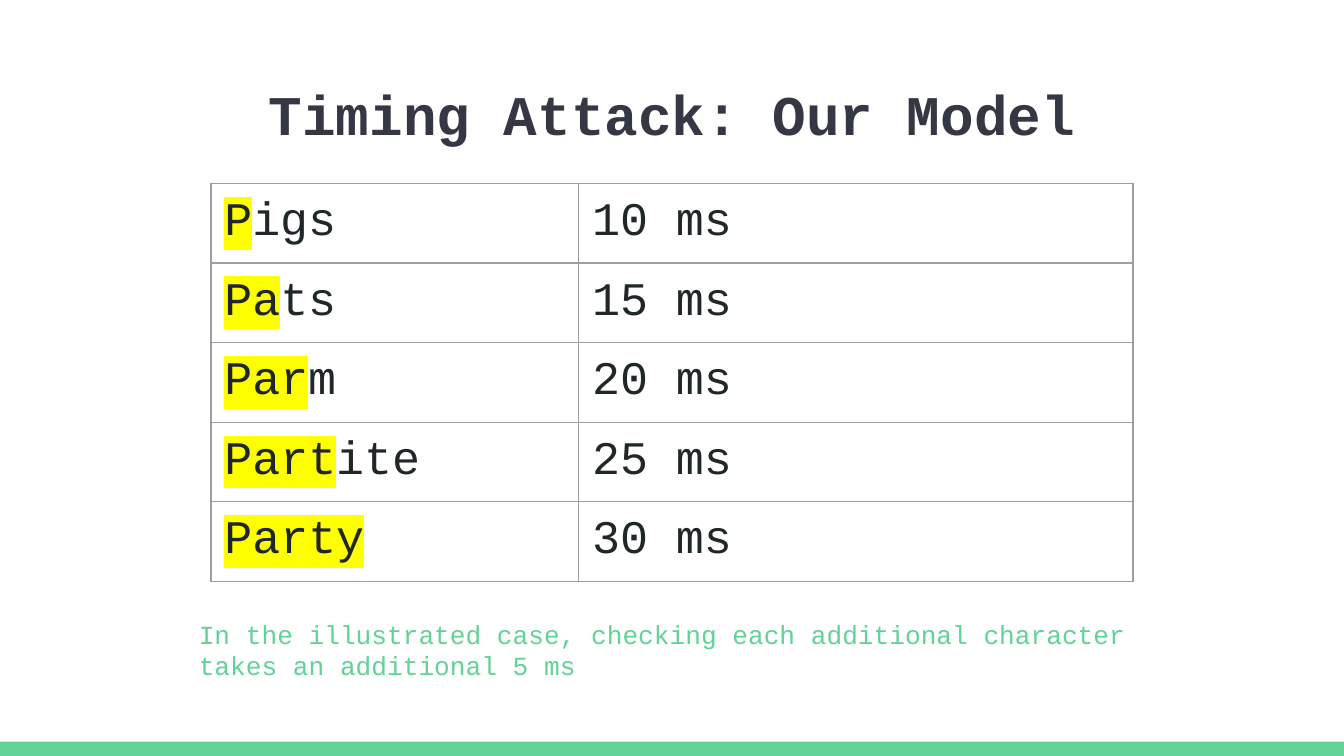
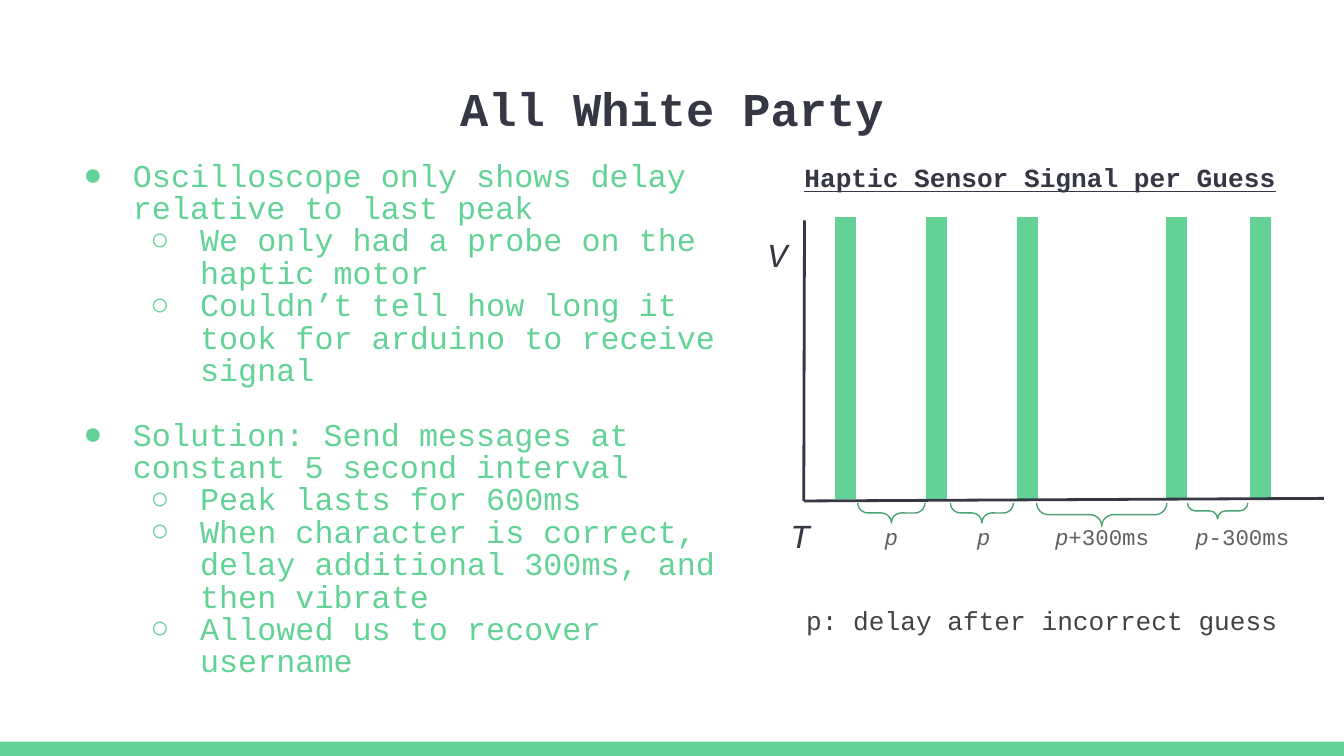
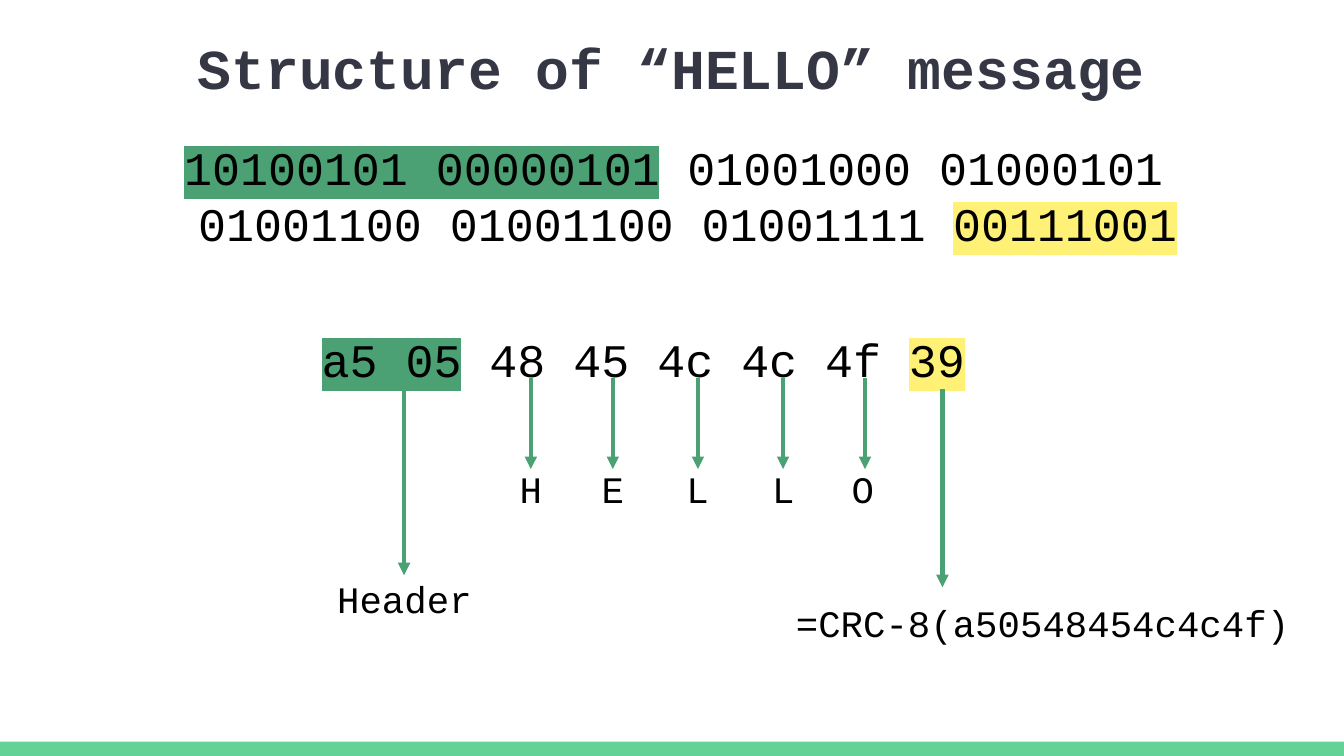
from dataclasses import dataclass
from typing import NamedTuple

from lxml import etree
from pptx import Presentation
from pptx.dml.color import RGBColor
from pptx.enum.shapes import MSO_CONNECTOR as Conn, MSO_SHAPE as Shp
from pptx.enum.text import MSO_ANCHOR as Anchor, MSO_AUTO_SIZE as Fit, PP_ALIGN as Align
from pptx.oxml.ns import qn
from pptx.util import Pt

COLORS = {
    "green": "63D297", "dark_green": "4BA173", "navy": "353744",
    "ink": "202729", "black": "000000", "grey": "616161", "dark_grey": "424242",
    "border": "9E9E9E", "yellow": "FFFF00", "pale_yellow": "FFF176",
}
FONT = "Courier New"
INSET = 7.2
WIDTH, HEIGHT = 720, 405


class Box(NamedTuple):
    left: float
    top: float
    width: float
    height: float

    def lengths(self) -> list:
        return [Pt(v) for v in self]


@dataclass
class Style:
    size: float
    color: str
    bold: bool = False
    italic: bool = False
    underline: bool = False


class Span(NamedTuple):
    text: str
    highlight: str = ""
    italic: bool = False


class Gap(NamedTuple):
    """A pause between two peaks, with its brace and label."""
    left: float
    width: float
    depth: float
    label_center: float
    suffix: str = ""


class Bullet(NamedTuple):
    text: str
    level: int = 0
    space_after: float = 0


class Arrow(NamedTuple):
    x: float
    top: float
    bottom: float


def rgb(name: str) -> RGBColor:
    return RGBColor.from_string(COLORS[name])


def add_solid(parent, color: str) -> None:
    fill = etree.SubElement(parent, qn("a:solidFill"))
    etree.SubElement(fill, qn("a:srgbClr"), val=COLORS[color])


def format_run(r, style: Style, span: Span = Span("")) -> None:
    f = r.font
    f.name, f.size = FONT, Pt(style.size)
    f.color.rgb = rgb(style.color)
    f.bold, f.underline = style.bold, style.underline
    f.italic = style.italic or span.italic
    if span.highlight:
        rpr = r._r.get_or_add_rPr()
        mark = etree.Element(qn("a:highlight"))
        etree.SubElement(mark, qn("a:srgbClr"), val=COLORS[span.highlight])
        rpr.find(qn("a:latin")).addprevious(mark)


def add_spans(p, spans: list[Span], style: Style) -> None:
    for span in spans:
        r = p.add_run()
        r.text = span.text
        format_run(r, style, span)


def prepare_frame(tf) -> None:
    tf.word_wrap = True
    tf.auto_size = Fit.NONE
    tf.vertical_anchor = Anchor.TOP
    tf.margin_left = tf.margin_right = tf.margin_top = tf.margin_bottom = Pt(INSET)


def add_text(s, box: Box, lines: list[list[Span]], style: Style, align=Align.LEFT):
    tf = s.shapes.add_textbox(*box.lengths()).text_frame
    prepare_frame(tf)
    for i, spans in enumerate(lines):
        p = tf.add_paragraph() if i else tf.paragraphs[0]
        p.alignment = align
        add_spans(p, spans, style)
    return tf


def place(sp, box: Box) -> None:
    sp.left, sp.top, sp.width, sp.height = box.lengths()


def add_slide(prs, layout: int, title: str, size: float, top: float = 35.3):
    s = prs.slides.add_slide(prs.slide_layouts[layout])
    sp = s.shapes.title
    place(sp, Box(24.5, top, 671, 45.4))
    tf = sp.text_frame
    prepare_frame(tf)
    tf.text = title
    p = tf.paragraphs[0]
    p.alignment = Align.CENTER
    format_run(p.runs[0], Style(size, "navy", bold=True))
    return s


def add_preset(s, kind, box: Box, fill: str = "", line: str = ""):
    sp = s.shapes.add_shape(kind, *box.lengths())
    sp.shadow.inherit = False
    if fill:
        sp.fill.solid()
        sp.fill.fore_color.rgb = rgb(fill)
    else:
        sp.fill.background()
    if line:
        sp.line.color.rgb = rgb(line)
        sp.line.width = Pt(0.75)
    else:
        sp.line.fill.background()
    return sp


def add_line(s, x1: float, y1: float, x2: float, y2: float,
             color: str, width: float, arrow: bool = False) -> None:
    cxn = s.shapes.add_connector(Conn.STRAIGHT, Pt(x1), Pt(y1), Pt(x2), Pt(y2))
    cxn.line.color.rgb = rgb(color)
    cxn.line.width = Pt(width)
    sppr = cxn.element.find(qn("p:spPr"))
    if arrow:
        etree.SubElement(sppr.find(qn("a:ln")), qn("a:tailEnd"), type="triangle")
    etree.SubElement(sppr, qn("a:effectLst"))


def add_bullets(tf, bullets: list[Bullet], style: Style) -> None:
    for i, bullet in enumerate(bullets):
        p = tf.add_paragraph() if i else tf.paragraphs[0]
        p.text = bullet.text
        p.level, p.line_spacing = bullet.level, 0.85
        p.space_before, p.space_after = Pt(0), Pt(bullet.space_after)
        format_run(p.runs[0], style)
        ppr = p._p.get_or_add_pPr()
        ppr.set("marL", str(Pt(36 * (bullet.level + 1))))
        ppr.set("indent", str(-Pt(26.6)))
        color = etree.SubElement(ppr, qn("a:buClr"))
        etree.SubElement(color, qn("a:srgbClr"), val=COLORS[style.color])
        etree.SubElement(ppr, qn("a:buChar"), char="●○"[bullet.level])


def fill_cell(cell, spans: list[Span], style: Style) -> None:
    cell.margin_left = cell.margin_right = Pt(INSET)
    cell.margin_top = cell.margin_bottom = Pt(INSET)
    tcpr = cell._tc.get_or_add_tcPr()
    for side in "LRTB":
        ln = etree.SubElement(tcpr, qn(f"a:ln{side}"), w=str(Pt(0.75)))
        add_solid(ln, "border")
    cell.fill.background()
    add_spans(cell.text_frame.paragraphs[0], spans, style)


def add_band(prs, s) -> None:
    """Put the green band on the master, so that every slide shows it."""
    band = add_preset(s, Shp.RECTANGLE, Box(0, 397.4, WIDTH, HEIGHT - 397.4), "green")
    prs.slide_master.shapes.element.append(band.element)


def build_timing(prs):
    s = add_slide(prs, 5, "Timing Attack: Our Model", 30)
    guesses = [("P", "igs"), ("Pa", "ts"), ("Par", "m"), ("Part", "ite"), ("Party", "")]
    table = s.shapes.add_table(len(guesses), 2, *Box(113, 98.3, 494, 190).lengths()).table
    table.first_row = table.horz_banding = False
    for col, width in zip(table.columns, (197, 297)):
        col.width = Pt(width)
    style = Style(25, "ink")
    for i, (match, rest) in enumerate(guesses):
        table.rows[i].height = Pt(38)
        word = [Span(match, "yellow")] + ([Span(rest)] if rest else [])
        fill_cell(table.cell(i, 0), word, style)
        fill_cell(table.cell(i, 1), [Span(f"{10 + 5 * i} ms")], style)
    note = ("In the illustrated case, checking each additional character "
            "takes an additional 5 ms")
    add_text(s, Box(99.4, 324, 541.4, 36), [[Span(note)]], Style(14, "green"))
    return s


def build_signal(prs) -> None:
    s = add_slide(prs, 1, "All White Party", 25.2)
    body = s.placeholders[1]
    place(body, Box(28, 79.2, 371.5, 308))
    prepare_frame(body.text_frame)
    add_bullets(body.text_frame, [
        Bullet("Oscilloscope only shows delay relative to last peak"),
        Bullet("We only had a probe on the haptic motor", 1),
        Bullet("Couldn’t tell how long it took for arduino to receive signal", 1, 17.3),
        Bullet("Solution: Send messages at constant 5 second interval"),
        Bullet("Peak lasts for 600ms", 1),
        Bullet("When character is correct, delay additional 300ms, and then vibrate", 1),
        Bullet("Allowed us to recover username", 1),
    ], Style(17, "green"))

    legend = add_text(s, Box(388.8, 316.8, 317.5, 30),
                      [[Span("p: delay after incorrect guess")]], Style(14, "dark_grey"))
    legend.paragraphs[0]._p.get_or_add_pPr().set("marL", str(Pt(36)))

    for left in (447.6, 496.2, 545, 625, 669.8):
        add_preset(s, Shp.RECTANGLE, Box(left, 116.6, 10.8, 150.3), "green", "green")
    add_line(s, 430.6, 268.4, 709.2, 267, "navy", 1.5)
    add_line(s, 430.6, 268.4, 431, 118.1, "navy", 1.5)

    add_text(s, Box(417.6, 79.2, 279.4, 45.4), [[Span("Haptic Sensor Signal per Guess")]],
             Style(14, "navy", bold=True, underline=True), Align.CENTER)
    axis = Style(18, "navy", italic=True)
    add_text(s, Box(416.2, 268.6, 28.8, 30), [[Span("T")]], axis)
    add_text(s, Box(404, 118.1, 54, 22.3), [[Span("V")]], axis)

    gaps = [
        Gap(459.5, 36, 10.8, 477.5),
        Gap(509.1, 33.8, 10.8, 526.9),
        Gap(555.3, 69.8, 12.6, 590.4, "+300ms"),
        Gap(636.1, 32.4, 8.6, 665.5, "-300ms"),
    ]
    for gap in gaps:
        center_x, center_y = gap.left + gap.width / 2, 269.4 + gap.depth / 2
        brace = add_preset(s, Shp.RIGHT_BRACE,
                           Box(center_x - gap.depth / 2, center_y - gap.width / 2,
                               gap.depth, gap.width), line="dark_green")
        brace.rotation = 90
        brace.adjustments[0] = brace.adjustments[1] = 0.5
        label = [Span("p", italic=True)] + ([Span(gap.suffix)] if gap.suffix else [])
        width = 80.6 if gap.suffix else 24.5
        add_text(s, Box(gap.label_center - width / 2, 272.9, width, 28.8),
                 [label], Style(12, "grey"), Align.CENTER)


def build_message(prs) -> None:
    s = add_slide(prs, 5, "Structure of “HELLO” message", 30.2, 10.8)
    code, label = Style(25, "black"), Style(20, "black")
    add_text(s, Box(61.9, 67, 612.7, 74.9), [
        [Span("10100101 00000101", "dark_green"), Span(" 01001000 01000101 ")],
        [Span("01001100 01001100 01001111 "), Span("00111001", "pale_yellow")],
    ], code, Align.CENTER)
    add_text(s, Box(136.9, 169.9, 415.4, 44.6), [
        [Span("a5 05", "dark_green"), Span(" 48 45 4c 4c 4f "), Span("39", "pale_yellow")],
    ], code, Align.CENTER)

    letter_centers = (284.4, 328.3, 373.7, 419.6, 462.2)
    for letter, center in zip("HELLO", letter_centers):
        add_text(s, Box(center - 18.7, 242.6, 37.4, 38.9), [[Span(letter)]], label, Align.CENTER)
    add_text(s, Box(172.8, 301.7, 87.8, 38.9), [[Span("Header")]], label, Align.CENTER)
    add_text(s, Box(413.2, 314.6, 290.9, 38.9), [[Span("=CRC-8(a50548454c4c4f)")]],
             label, Align.CENTER)

    arrows = [Arrow(x, 202.3, 251.3) for x in (284.4, 328.3, 373.9, 419.5, 463.4)]
    arrows += [Arrow(216.5, 202.3, 308.2), Arrow(504.9, 208.6, 314.6)]
    for a in arrows:
        add_line(s, a.x, a.top, a.x, a.bottom, "dark_green", 2.25, arrow=True)


def main() -> None:
    prs = Presentation()
    prs.slide_width, prs.slide_height = Pt(WIDTH), Pt(HEIGHT)
    add_band(prs, build_timing(prs))
    build_signal(prs)
    build_message(prs)
    prs.save("out.pptx")


if __name__ == "__main__":
    main()
